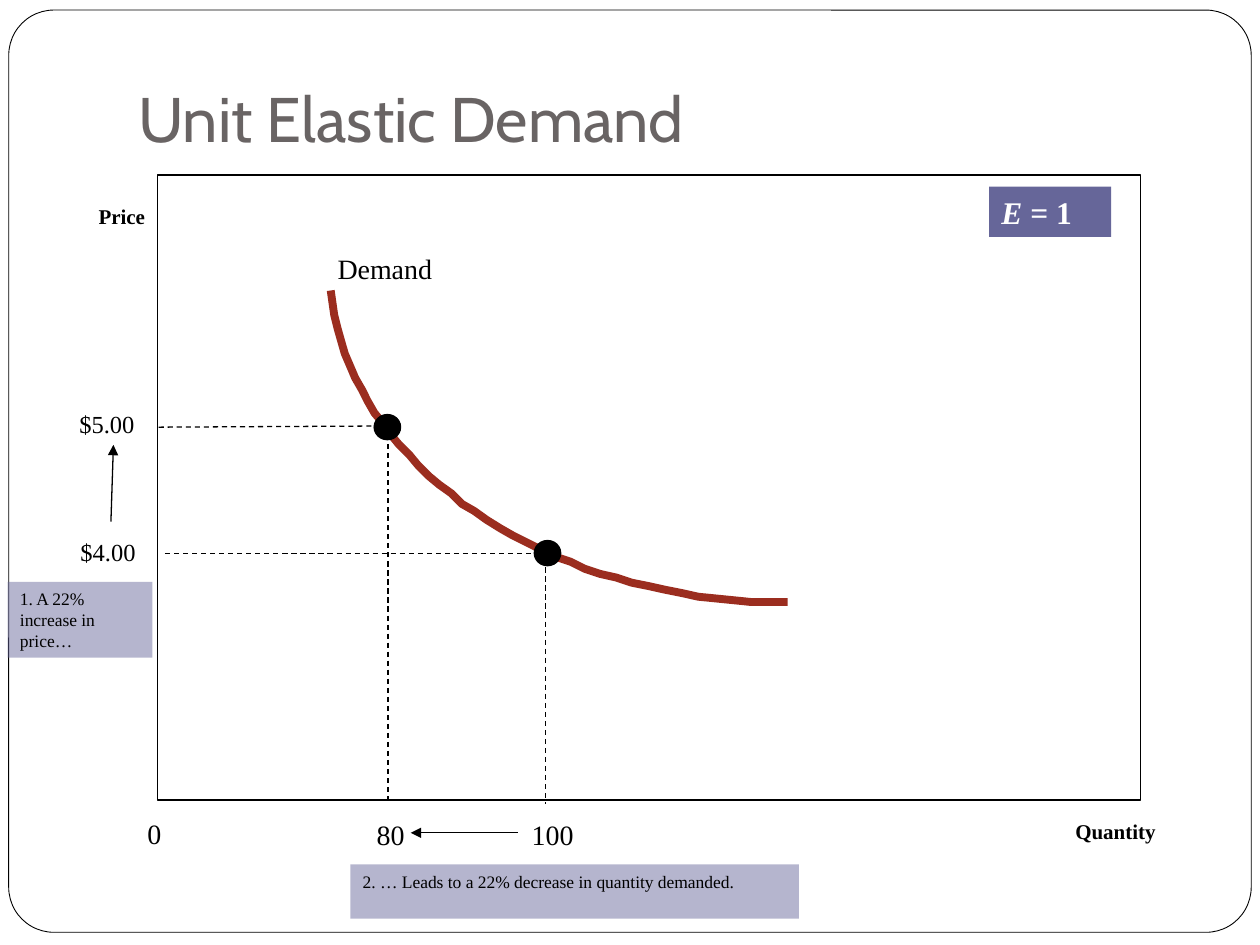
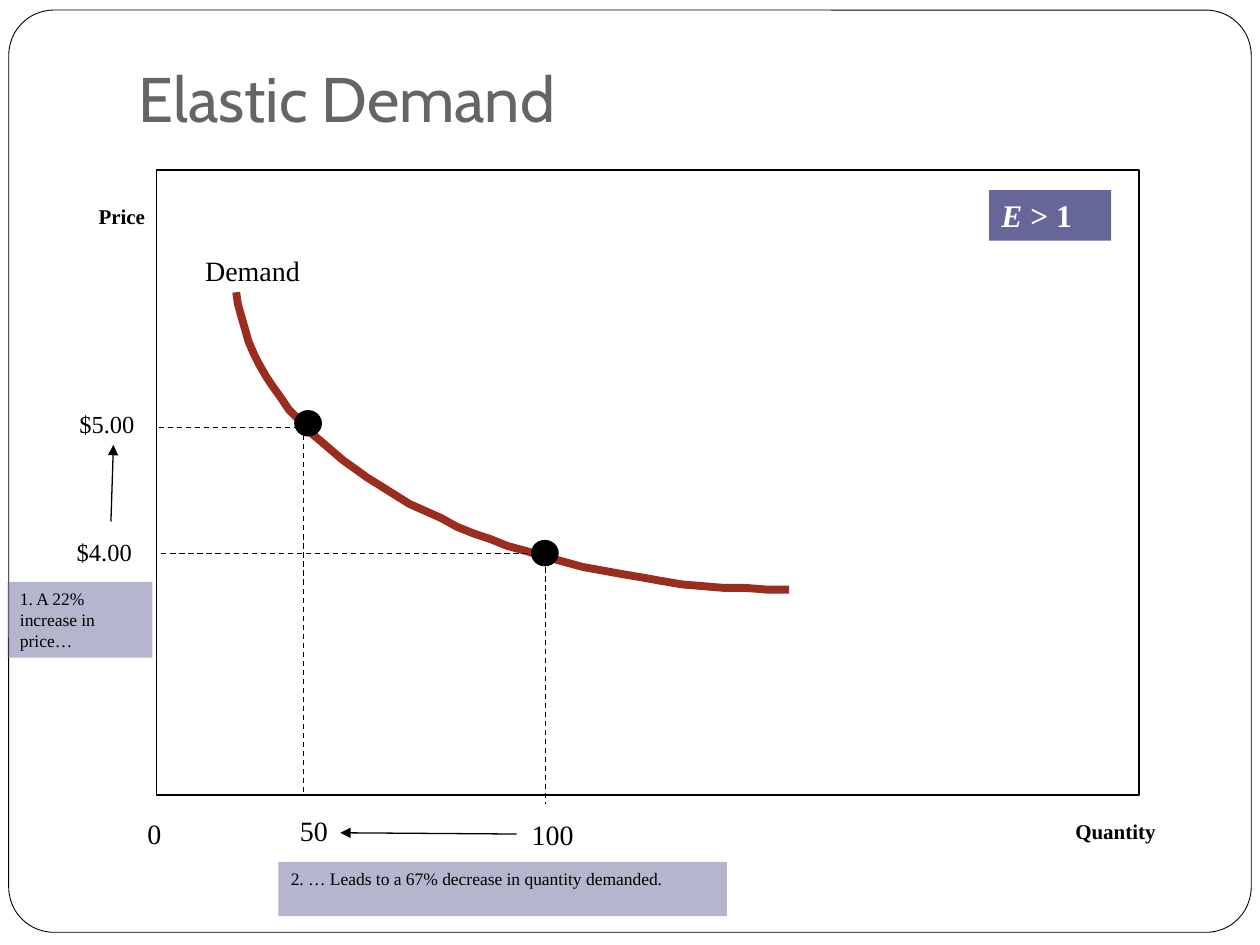
"""Build two slides on the price elasticity of demand."""
from lxml.etree import SubElement
from pptx import Presentation
from pptx.dml.color import RGBColor
from pptx.enum.dml import MSO_LINE_DASH_STYLE as Dash
from pptx.enum.shapes import MSO_CONNECTOR as Connector, MSO_SHAPE as Shape
from pptx.enum.text import MSO_ANCHOR as Anchor, PP_ALIGN as Align
from pptx.oxml.ns import qn
from pptx.util import Pt

BLACK, WHITE, PURPLE, RED, GRAY = "000000", "FFFFFF", "666699", "9B2D1F", "696464"
BODY_FONT, TITLE_FONT = "Times New Roman", "Cabin"
DOT_SIZE = (15.1, 14.4)
CURVE_STEPS = 40

SHARED_LABELS = [
    ("0", (51.1, 463, 48.2, 26.6), 16, False, Align.RIGHT),
    ("100", (291.6, 463.7, 43.2, 26.6), 16, False, Align.RIGHT),
    ("Quantity", (589.7, 464.4, 77.8, 21.6), 12, True, Align.RIGHT),
    ("Price", (40.3, 113, 49.7, 21.6), 12, True, Align.RIGHT),
    ("$5.00", (38.2, 230.4, 49.7, 23.8), 14, False, Align.LEFT),
]
PRICE_NOTE = "1. A 22% increase in price…"
PRICE_ARROW = (63.4, 298.1, 64.8, 254.2)
QUANTITY_GUIDE = (311.8, 313.9, 311.8, 459.4)

SLIDES = [
    {
        "title": "Unit Elastic Demand", "title_height": 74.2,
        "plot": (90, 100.1),
        "elasticity": "= 1", "badge_top": 106.6,
        "note": "2. … Leads to a 22% decrease in quantity demanded.",
        "note_at": (200.2, 493.9),
        "demand_at": (185.8, 140.4),
        "curve": [(450, 344.2), (311.8, 344.2), (198, 265.7), (189.4, 165.6)],
        "low_price_left": 38.9,
        "new_quantity": "80", "new_quantity_at": (195.1, 463.7),
        "guides": [(94.3, 316.1, 311.8, 316.1), (90.7, 244.1, 226.8, 243.4),
                   (221.8, 243.4, 221.8, 458.6)],
        "dots": [(305.3, 308.9), (213.8, 236.9)],
        "quantity_arrow": (295.9, 475.9, 234.7, 475.9),
    },
    {
        "title": "Elastic Demand", "title_height": 62.6,
        "plot": (89.3, 97.2),
        "elasticity": "> 1", "badge_top": 108.7,
        "note": "2. … Leads to a 67% decrease in quantity demanded.",
        "note_at": (159.1, 492.5),
        "demand_at": (110.2, 141.1),
        "curve": [(451.4, 337), (283.7, 337), (145.4, 262.1), (135.4, 167)],
        "low_price_left": 36.7,
        "new_quantity": "50", "new_quantity_at": (151.2, 461.5),
        "guides": [(92.2, 316.1, 309.6, 316.1), (90.7, 244.1, 177.1, 244.1),
                   (173.5, 238.3, 173.5, 452.9)],
        "dots": [(303.8, 308.9), (168.5, 234.7)],
        "quantity_arrow": (295.2, 476.6, 194.4, 475.9),
    },
]


def color(hex_string):
    return RGBColor.from_string(hex_string)


def points(values):
    return [Pt(value) for value in values]


def write(shape, runs, size, align=Align.LEFT, ink=BLACK, font=BODY_FONT, anchor=Anchor.TOP):
    frame = shape.text_frame
    frame.word_wrap = True
    frame.vertical_anchor = anchor
    paragraph = frame.paragraphs[0]
    paragraph.alignment = align
    for text, bold, italic in runs:
        run = paragraph.add_run()
        run.text = text
        run.font.name, run.font.size = font, Pt(size)
        run.font.bold, run.font.italic = bold, italic
        run.font.color.rgb = color(ink)
    return frame


def add_label(slide, text, box, size, bold=False, align=Align.LEFT, **style):
    shape = slide.shapes.add_textbox(*points(box))
    return write(shape, [(text, bold, False)], size, align, **style)


def add_block(slide, kind, box, fill, line_width=0, opacity=100):
    shape = slide.shapes.add_shape(kind, *points(box))
    shape.shadow.inherit = False
    shape.fill.solid()
    shape.fill.fore_color.rgb = color(fill)
    if opacity < 100:
        solid = shape.fill._xPr.find(qn("a:solidFill"))
        SubElement(solid[0], qn("a:alpha"), val=str(opacity * 1000))
    if line_width:
        shape.line.color.rgb = color(BLACK)
        shape.line.width = Pt(line_width)
    else:
        shape.line.fill.background()
    return shape


def add_note(slide, text, box):
    shape = add_block(slide, Shape.RECTANGLE, box, PURPLE, opacity=48)
    write(shape, [(text, False, False)], 10)


def add_line(slide, ends, arrow=False):
    connector = slide.shapes.add_connector(Connector.STRAIGHT, *points(ends))
    connector.line.color.rgb = color(BLACK)
    connector.line.width = Pt(0.75)
    if arrow:
        SubElement(connector.line._get_or_add_ln(), qn("a:tailEnd"), type="triangle")
    else:
        connector.line.dash_style = Dash.DASH
    SubElement(connector._element.spPr, qn("a:effectLst"))


def bezier_point(controls, t):
    weights = ((1 - t) ** 3, 3 * t * (1 - t) ** 2, 3 * t ** 2 * (1 - t), t ** 3)
    return tuple(sum(w * p[axis] for w, p in zip(weights, controls)) for axis in (0, 1))


def add_curve(slide, controls):
    start, *rest = [bezier_point(controls, i / CURVE_STEPS) for i in range(CURVE_STEPS + 1)]
    builder = slide.shapes.build_freeform(*start, scale=float(Pt(1)))
    builder.add_line_segments(rest, close=False)
    curve = builder.convert_to_shape()
    curve.shadow.inherit = False
    curve.fill.background()
    curve.line.color.rgb = color(RED)
    curve.line.width = Pt(4.5)


def add_base(slide, content):
    border = add_block(slide, Shape.ROUNDED_RECTANGLE, (5, 5.75, 710, 527), WHITE, 0.5)
    border.adjustments[0] = 0.049
    frame = add_label(slide, content["title"], (72, 21.6, 612, content["title_height"]), 36,
                      ink=GRAY, font=TITLE_FONT, anchor=Anchor.BOTTOM)
    frame.margin_bottom = Pt(7.2)
    add_block(slide, Shape.RECTANGLE, (*content["plot"], 561.6, 357.1), WHITE, 0.75)
    for label in SHARED_LABELS:
        add_label(slide, *label)
    add_note(slide, PRICE_NOTE, (4.3, 332.6, 82.8, 43.2))
    add_line(slide, PRICE_ARROW, arrow=True)


def add_demand(slide, content):
    badge = add_block(slide, Shape.RECTANGLE, (565.2, content["badge_top"], 69.8, 28.8), PURPLE)
    write(badge, [("E ", True, True), (content["elasticity"], True, False)], 18, ink=WHITE)
    add_note(slide, content["note"], (*content["note_at"], 256.3, 31))
    add_label(slide, "Demand", (*content["demand_at"], 153.4, 26.6), 16)
    add_label(slide, "$4.00", (content["low_price_left"], 303.1, 49.7, 23.8), 14)
    add_label(slide, content["new_quantity"], (*content["new_quantity_at"], 43.2, 26.6), 16,
              align=Align.RIGHT)
    add_curve(slide, content["curve"])
    for guide in [*content["guides"], QUANTITY_GUIDE]:
        add_line(slide, guide)
    for dot in content["dots"]:
        add_block(slide, Shape.OVAL, (*dot, *DOT_SIZE), BLACK, 0.75)
    add_line(slide, content["quantity_arrow"], arrow=True)


def main():
    presentation = Presentation()
    presentation.slide_width, presentation.slide_height = Pt(720), Pt(540)
    for content in SLIDES:
        slide = presentation.slides.add_slide(presentation.slide_layouts[6])
        add_base(slide, content)
        add_demand(slide, content)
    presentation.save("out.pptx")


if __name__ == "__main__":
    main()
